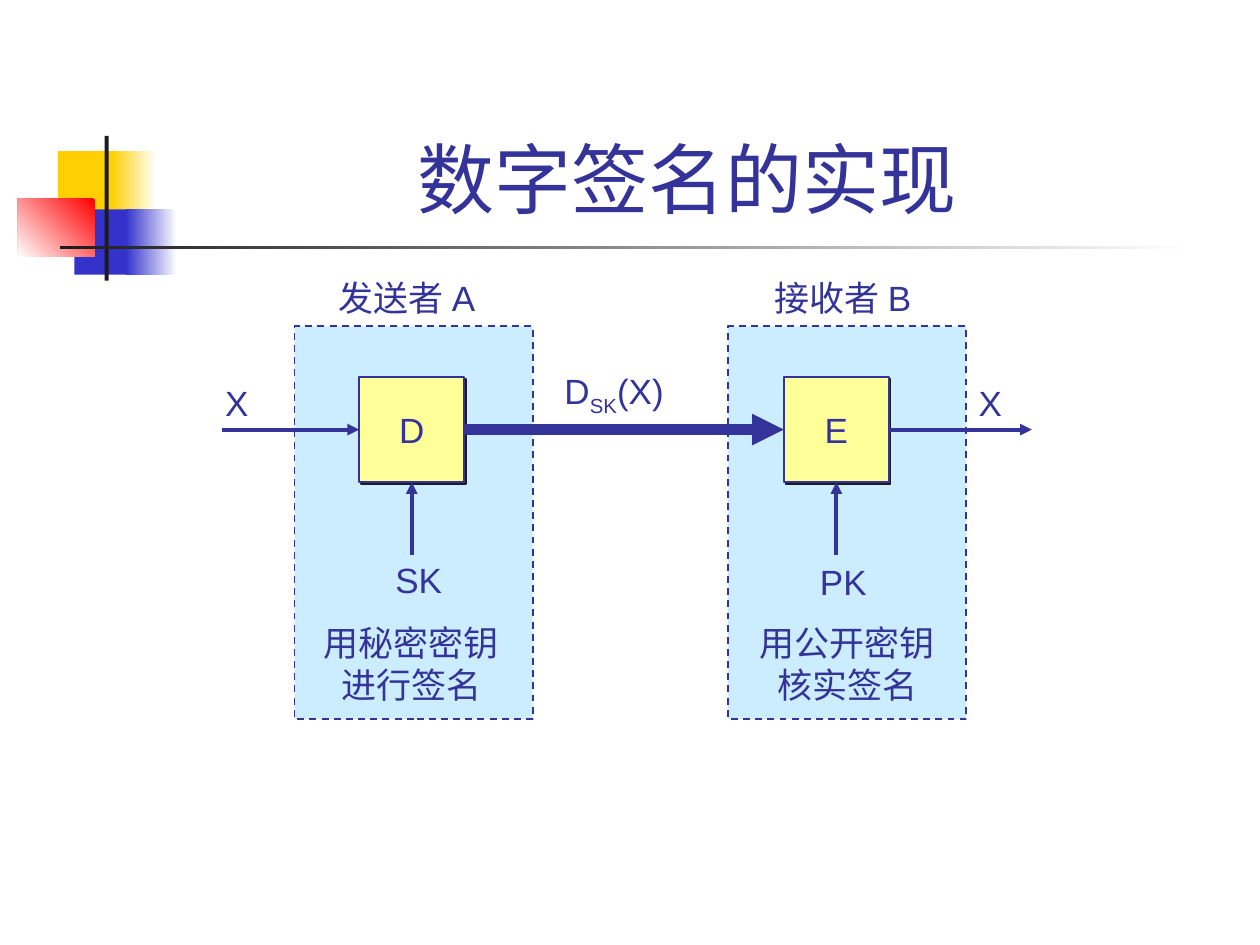
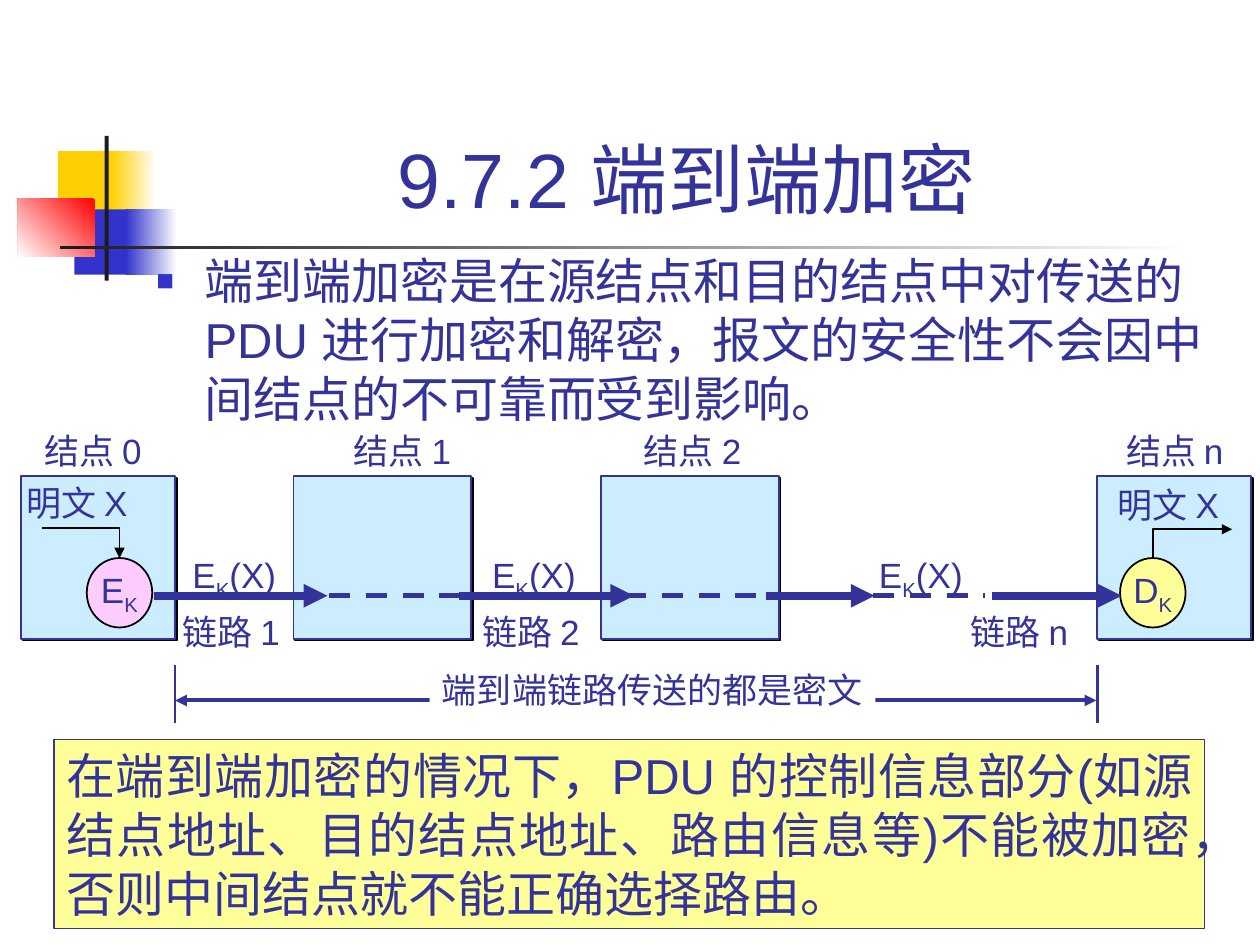
from lxml import etree
from pptx import Presentation
from pptx.dml.color import RGBColor
from pptx.enum.dml import MSO_LINE
from pptx.enum.shapes import MSO_CONNECTOR, MSO_SHAPE
from pptx.enum.text import MSO_ANCHOR, MSO_AUTO_SIZE, PP_ALIGN
from pptx.oxml.ns import qn
from pptx.util import Cm, Pt

RECT, OVAL = MSO_SHAPE.RECTANGLE, MSO_SHAPE.OVAL
STRAIGHT = MSO_CONNECTOR.STRAIGHT
DASH = MSO_LINE.DASH
TOP, MIDDLE, BOTTOM = MSO_ANCHOR.TOP, MSO_ANCHOR.MIDDLE, MSO_ANCHOR.BOTTOM
LEFT, CENTER, JUSTIFY = PP_ALIGN.LEFT, PP_ALIGN.CENTER, PP_ALIGN.JUSTIFY

FONT = "Arial"
INK, BLUE, GOLD, RED = "333399", "3333CC", "FFCF01", "FF0000"
BLACK, CHARCOAL, WHITE = "000000", "1C1C1C", "FFFFFF"
SKY, CREAM, PINK = "CCECFF", "FFFF99", "FFCCFF"
rgb = RGBColor.from_string


def style(sp, fill=None, line=None, width=1, dash=None, shadow=None, head=False, tail=False):
    """Format a shape or connector; a (start, end, angle) fill is a gradient."""
    if hasattr(sp, "fill"):
        if fill is None:
            sp.fill.background()
        elif isinstance(fill, tuple):
            sp.fill.gradient()
            sp.fill.gradient_angle = fill[2]
            for stop, color in zip(sp.fill.gradient_stops, fill):
                stop.color.rgb = rgb(color)
        else:
            sp.fill.solid()
            sp.fill.fore_color.rgb = rgb(fill)
    if line:
        sp.line.color.rgb = rgb(line)
        sp.line.width = Pt(width)
        if dash:
            sp.line.dash_style = dash
    else:
        sp.line.fill.background()
    spPr = sp.element.spPr
    for tag, wanted in (("a:headEnd", head), ("a:tailEnd", tail)):
        if wanted:
            etree.SubElement(spPr.get_or_add_ln(), qn(tag), type="triangle")
    effects = etree.SubElement(spPr, qn("a:effectLst"))
    if shadow:
        outer = etree.SubElement(effects, qn("a:outerShdw"), blurRad="0", dist=str(Pt(1.4)),
                                 dir="2700000", algn="tl", rotWithShape="0")
        etree.SubElement(outer, qn("a:srgbClr"), val=shadow)


def write(tf, text, size=20, **fmt):
    """Fill a text frame: one paragraph per line, with |subscript| between bars."""
    fmt = {"alignment": LEFT, **fmt}
    for i, line in enumerate(text.split("\n")):
        p = tf.add_paragraph() if i else tf.paragraphs[0]
        for name, value in fmt.items():
            setattr(p, name, value)
        for k, part in enumerate(line.split("|")):
            r = p.add_run()
            r.text = part
            r.font.name, r.font.size = FONT, Pt(size)
            r.font.color.rgb = rgb(INK)
            if k % 2:
                r._r.get_or_add_rPr().set("baseline", "-25000")


prs = Presentation()
prs.slide_width, prs.slide_height = Cm(25.4), Cm(19.05)
s1 = prs.slides.add_slide(prs.slide_layouts[5])
s2 = prs.slides.add_slide(prs.slide_layouts[1])

# Shared ornament, placed on the master
ornament = [
    (1.17, 3.05, 1.22, 1.32, GOLD),
    (2.24, 3.05, 0.91, 1.32, (WHITE, GOLD, 180)),
    (1.5, 4.22, 1.17, 1.32, BLUE),
    (2.54, 4.22, 1.02, 1.32, (WHITE, BLUE, 180)),
    (0.36, 4.01, 1.55, 1.17, (RED, WHITE, 225)),
    (2.11, 2.74, 0.08, 2.92, CHARCOAL),
    (1.22, 4.95, 22.86, 0.08, (WHITE, CHARCOAL, 180)),
]
for i, (*at, fill) in enumerate(ornament):
    sp = s1.shapes.add_shape(RECT, *map(Cm, at))
    style(sp, fill)
    sp.element.nvSpPr.cNvPr.set("id", str(20 + i))
    prs.slide_master.shapes.element.insert(2 + i, sp.element)

for s, title in ((s1, "数字签名的实现 "), (s2, "9.7.2 端到端加密 ")):
    sp = s.shapes.title
    sp.left, sp.top, sp.width, sp.height = map(Cm, (3.2, 0.58, 21.64, 4.06))
    tf = sp.text_frame
    tf.auto_size, tf.vertical_anchor = MSO_AUTO_SIZE.NONE, BOTTOM
    write(tf, title, 44, alignment=CENTER)

# Slide 1: sender and receiver
parties = [
    (5.94, 7.24, "D"),
    (14.68, 15.8, "E"),
]
data_y, key_y, side = 8.66, 11.18, 2.12
ciphers = []
for panel_x, cipher_x, letter in parties:
    panel = s1.shapes.add_shape(RECT, Cm(panel_x), Cm(6.58), Cm(4.8), Cm(7.92))
    style(panel, SKY, INK, dash=DASH)
    cipher = s1.shapes.add_shape(RECT, Cm(cipher_x), Cm(data_y - side / 2), Cm(side), Cm(side))
    style(cipher, CREAM, INK, shadow=CHARCOAL)
    cipher.text_frame.word_wrap = False
    write(cipher.text_frame, letter, alignment=CENTER)
    ciphers.append(cipher)
    key_x = Cm(cipher_x + side / 2)
    key = s1.shapes.add_connector(STRAIGHT, key_x, Cm(key_y), key_x, Cm(data_y + side / 2))
    key.end_connect(cipher, 2)
    style(key, line=INK, width=2.25, tail=True)

signer, verifier = ciphers
data_flow = [
    (4.47, 7.24, 2.25, None, signer),
    (9.36, 15.8, 6, signer, verifier),
    (17.92, 20.8, 2.25, verifier, None),
]
for x1, x2, width, source, target in data_flow:
    flow = s1.shapes.add_connector(STRAIGHT, Cm(x1), Cm(data_y), Cm(x2), Cm(data_y))
    if source:
        flow.begin_connect(source, 3)
    if target:
        flow.end_connect(target, 1)
    style(flow, line=INK, width=width, tail=True)

signature_labels = [
    ("发送者 A", 6.58, 5.44, 3.43, 1.09, LEFT),
    ("接收者 B", 15.37, 5.44, 3.43, 1.09, LEFT),
    ("X", 4.29, 7.57, 0.97, 1.09, LEFT),
    ("X", 19.48, 7.57, 0.97, 1.09, LEFT),
    ("D|SK|(X)", 11.13, 7.32, 2.51, 1.22, LEFT),
    ("SK", 7.72, 11.13, 1.45, 1.09, LEFT),
    ("PK", 16.28, 11.18, 1.45, 1.09, LEFT),
    ("用秘密密钥\n进行签名", 6.27, 12.4, 4.04, 1.93, CENTER),
    ("用公开密钥\n核实签名", 15.06, 12.4, 4.04, 1.93, CENTER),
]
for text, *at, align in signature_labels:
    sp = s1.shapes.add_textbox(*map(Cm, at))
    write(sp.text_frame, text, alignment=align)

# Slide 2: end-to-end encryption
body = s2.placeholders[1]
body.left, body.top, body.width, body.height = map(Cm, (2.9, 4.93, 21.59, 4.39))
tf = body.text_frame
tf.auto_size, tf.word_wrap = MSO_AUTO_SIZE.NONE, True
write(tf, "端到端加密是在源结点和目的结点中对传送的 PDU 进行加密和解密，"
          "报文的安全性不会因中间结点的不可靠而受到影响。", 28, space_before=Pt(7))
pPr = tf.paragraphs[0]._p.get_or_add_pPr()
pPr.set("marL", str(Cm(0.97)))
pPr.set("indent", str(-Cm(0.97)))
color = etree.SubElement(pPr, qn("a:buClr"))
etree.SubElement(color, qn("a:srgbClr"), val=BLUE)
etree.SubElement(pPr, qn("a:buSzPct"), val="60000")
etree.SubElement(pPr, qn("a:buChar"), char="■")

nodes = [("0", 0.43, 3.1, 0.64), ("1", 5.92, 3.58, 6.88),
         ("2", 12.12, 3.58, 12.73), ("n", 22.12, 3.1, 22.45)]
for name, x, width, label_x in nodes:
    sp = s2.shapes.add_shape(RECT, Cm(x), Cm(9.6), Cm(width), Cm(3.28))
    style(sp, SKY, INK, shadow=BLACK)
    sp = s2.shapes.add_textbox(Cm(label_x), Cm(8.53), Cm(2.64), Cm(1.12))
    write(sp.text_frame, f"结点 {name}")

endpoints = [
    ("E|K|", 1.75, PINK, 0.28, 9.58, [(0.84, 10.64), (2.41, 10.64), (2.41, 11.25)]),
    ("D|K|", 22.58, CREAM, 22.28, 9.63, [(23.24, 11.25), (23.24, 10.67), (24.84, 10.67)]),
]
for text, x, fill, plain_x, plain_y, corners in endpoints:
    sp = s2.shapes.add_shape(OVAL, Cm(x), Cm(11.25), Cm(1.32), Cm(1.4))
    style(sp, fill, BLACK)
    sp.text_frame.word_wrap = False
    write(sp.text_frame, text.rstrip("|"), alignment=CENTER)
    start, *rest = [(Cm(px), Cm(py)) for px, py in corners]
    outline = s2.shapes.build_freeform(*start)
    outline.add_line_segments(rest, close=False)
    style(outline.convert_to_shape(), line=BLACK, tail=True)
    sp = s2.shapes.add_textbox(Cm(plain_x), Cm(plain_y), Cm(2.72), Cm(1.12))
    write(sp.text_frame, "明文 X")

link_y, range_y = 12.01, 14.12
solid = {"width": 4.5, "tail": True}
dashed = {"width": 3, "dash": DASH}
tick = {"width": 1.5}
lines = [
    (3.1, link_y, 6.6, link_y, solid),
    (9.25, link_y, 12.78, link_y, solid),
    (15.44, link_y, 17.63, link_y, solid),
    (19.99, link_y, 22.61, link_y, solid),
    (6.63, link_y, 9.8, link_y, dashed),
    (12.6, link_y, 15.75, link_y, dashed),
    (17.6, link_y, 19.86, link_y, dashed),
    (3.53, range_y, 22.1, range_y, {"width": 2.25, "head": True, "tail": True}),
    (3.53, 13.41, 3.53, 14.58, tick),
    (22.12, 13.41, 22.12, 14.58, tick),
]
for *ends, look in lines:
    style(s2.shapes.add_connector(STRAIGHT, *map(Cm, ends)), line=INK, **look)

for name, x, width, name_indent in (("1", 3.43, 2.64, 0), ("2", 9.47, 2.64, 0),
                                    ("n", 17.27, 4.7, 2.05)):
    sp = s2.shapes.add_textbox(Cm(x), Cm(10.85), Cm(width), Cm(2.44))
    write(sp.text_frame, f"E|K|(X)\n链路 {name}", line_spacing=1.2)
    for p, indent in zip(sp.text_frame.paragraphs, (0.2, name_indent)):
        p._p.get_or_add_pPr().set("marL", str(Cm(indent)))

notes = [
    ("端到端链路传送的都是密文", (8.66, 13.36, 8.99, 1.12), WHITE, None, 20, LEFT, False),
    ("在端到端加密的情况下，PDU 的控制信息部分(如源结点地址、目的结点地址、路由信息等)"
     "不能被加密，否则中间结点就不能正确选择路由。",
     (1.09, 14.91, 23.19, 3.81), CREAM, INK, 28, JUSTIFY, True),
]
for text, at, fill, line, size, align, wrap in notes:
    sp = s2.shapes.add_shape(RECT, *map(Cm, at))
    style(sp, fill, line, 0.75)
    sp.text_frame.word_wrap, sp.text_frame.vertical_anchor = wrap, TOP
    write(sp.text_frame, text, size, alignment=align)

prs.save("out.pptx")
